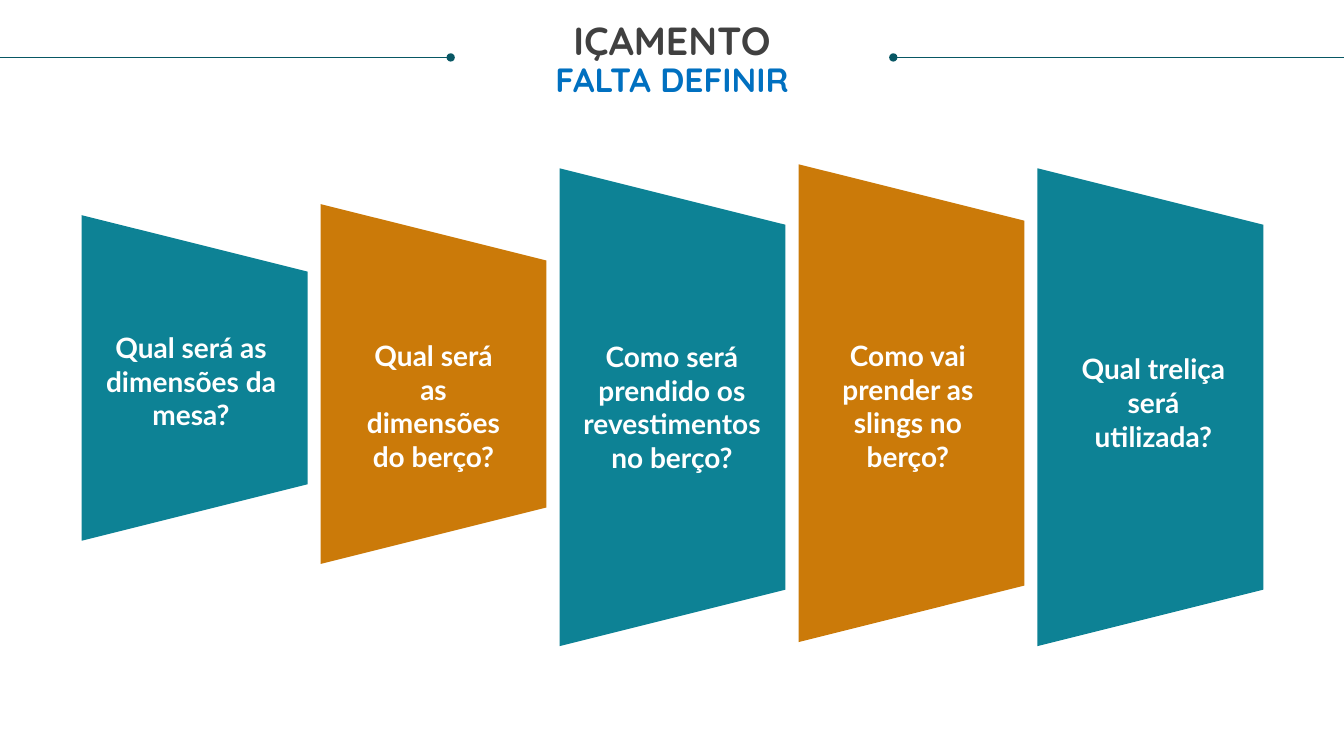
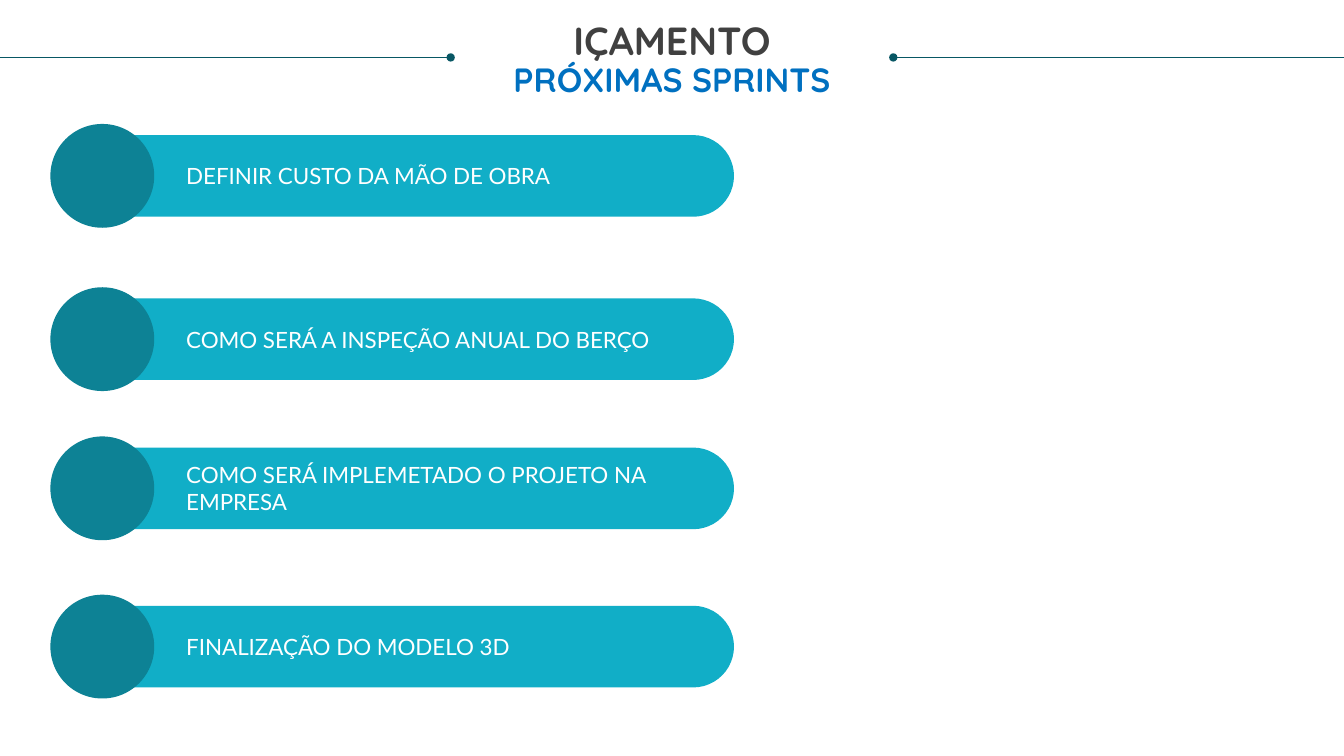
import lxml.etree
import pptx
import pptx.dml.color
import pptx.enum.shapes
import pptx.enum.text
import pptx.oxml.ns
import pptx.util

# The grid has one-inch cells
COLUMNS, ROWS = 13.33, 7.5
TITLE_FONT, BODY_FONT = "Quicksand", "Lato"
GRAY, BLUE, WHITE = "404040", "0070C0", "FFFFFF"
DARK_TEAL, TEAL, CYAN, ORANGE = "085764", "0D8295", "11AEC7", "CB7A09"

SHAPES = pptx.enum.shapes.MSO_SHAPE
ALIGN = pptx.enum.text.PP_ALIGN
ANCHOR = pptx.enum.text.MSO_ANCHOR


def color(hex_value):
    return pptx.dml.color.RGBColor.from_string(hex_value)


def cells(*counts):
    return [pptx.util.Inches(count) for count in counts]


class Deck:
    def __init__(self):
        self.presentation = pptx.Presentation()
        self.presentation.slide_width, self.presentation.slide_height = cells(COLUMNS, ROWS)
        self.slide = None

    def add_slide(self, subtitle):
        """Start a slide with the shared title and the lines beside it."""
        self.slide = self.presentation.slides.add_slide(self.presentation.slide_layouts[5])
        title = self.slide.shapes.title
        title.left, title.top, title.width, title.height = cells(0.25, 0.21, COLUMNS - 0.5, 0.79)
        frame = title.text_frame
        self.plain_frame(frame)
        frame.text = f"IÇAMENTO\n{subtitle}"
        for paragraph, size, hex_value in zip(frame.paragraphs, (28, 24), (GRAY, BLUE)):
            self.format(paragraph, TITLE_FONT, size, hex_value, bold=True, align=ALIGN.CENTER)
            paragraph.line_spacing = 0.9
            paragraph.space_before = pptx.util.Pt(0)
        line_length = 4.47
        self.dotted_line(0, line_length, "tailEnd")
        self.dotted_line(COLUMNS - line_length, COLUMNS, "headEnd")

    def plain_frame(self, frame):
        frame.margin_left = frame.margin_right = frame.margin_top = frame.margin_bottom = 0
        frame.word_wrap = True
        frame.vertical_anchor = ANCHOR.TOP
        frame.auto_size = pptx.enum.text.MSO_AUTO_SIZE.SHAPE_TO_FIT_TEXT

    def format(self, paragraph, font_name, size, hex_value, bold=False, align=ALIGN.LEFT):
        paragraph.alignment = align
        font = paragraph.font
        font.name, font.size, font.bold = font_name, pptx.util.Pt(size), bold
        font.color.rgb = color(hex_value)

    def dotted_line(self, start, end, dotted_end, row=0.57):
        connector = self.slide.shapes.add_connector(
            pptx.enum.shapes.MSO_CONNECTOR.STRAIGHT, *cells(start, row, end, row))
        connector.line.color.rgb = color(DARK_TEAL)
        connector.line.width = pptx.util.Pt(0.5)
        qn = pptx.oxml.ns.qn
        properties = connector.element.spPr
        lxml.etree.SubElement(properties.find(qn("a:ln")), qn(f"a:{dotted_end}"), type="oval")
        lxml.etree.SubElement(properties, qn("a:effectLst"))

    def shape(self, kind, left, top, width, height, hex_value):
        shape = self.slide.shapes.add_shape(kind, *cells(left, top, width, height))
        shape.shadow.inherit = False
        shape.fill.solid()
        shape.fill.fore_color.rgb = color(hex_value)
        shape.line.fill.background()
        return shape

    def panel(self, center, middle, length, hex_value, breadth=2.24):
        """A trapezoid turned so that its short side faces right."""
        panel = self.shape(SHAPES.TRAPEZOID, center - length / 2, middle - breadth / 2,
                           length, breadth, hex_value)
        panel.rotation = 90

    def label(self, text, left, top, width, height):
        box = self.slide.shapes.add_textbox(*cells(left, top, width, height))
        self.plain_frame(box.text_frame)
        paragraph = box.text_frame.paragraphs[0]
        paragraph.text = text
        self.format(paragraph, BODY_FONT, 20, WHITE, bold=True, align=ALIGN.CENTER)

    def bar(self, text, top, height=0.81, diameter=1.03):
        """A rounded bar with a circle over its left end."""
        bar = self.shape(SHAPES.ROUNDED_RECTANGLE, 0.63, top, 6.65, height, CYAN)
        bar.adjustments[0] = 0.5
        frame = bar.text_frame
        frame.word_wrap = True
        frame.vertical_anchor = ANCHOR.MIDDLE
        paragraph = frame.paragraphs[0]
        paragraph.text = text
        paragraph.level = 2
        self.format(paragraph, BODY_FONT, 16, WHITE)
        indent = paragraph._p.get_or_add_pPr()
        indent.set("marL", str(pptx.util.Inches(1)))
        indent.set("indent", "0")
        self.shape(SHAPES.OVAL, 0.5, top + (height - diameter) / 2, diameter, diameter, TEAL)


# Panel length and middle row, then label text, left, top, width and height
QUESTIONS = [
    (3.23, 3.75, "Qual será as dimensões da mesa?", 1.04, 3.28, 1.71, 1.01),
    (3.57, 3.81, "Qual será as dimensões do berço?", 3.55, 3.36, 1.5, 1.01),
    (4.74, 4.04, "Como será prendido os revestimentos no berço?", 5.78, 3.37, 1.77, 1.35),
    (4.74, 4, "Como vai prender as slings no berço?", 8.15, 3.36, 1.71, 1.35),
    (4.74, 4.04, "Qual treliça será utilizada?", 10.69, 3.49, 1.5, 1.01),
]

# Bar text and top row
SPRINTS = [
    ("DEFINIR CUSTO DA MÃO DE OBRA", 1.34),
    ("COMO SERÁ A INSPEÇÃO ANUAL DO BERÇO", 2.96),
    ("COMO SERÁ IMPLEMETADO O PROJETO NA EMPRESA", 4.44),
    ("FINALIZAÇÃO DO MODELO 3D", 6.01),
]


def main():
    deck = Deck()

    # Open questions
    deck.add_slide("FALTA DEFINIR")
    for index, (length, middle, *label) in enumerate(QUESTIONS):
        deck.panel(1.93 + 2.37 * index, middle, length, (TEAL, ORANGE)[index % 2])
        deck.label(*label)

    # Next sprints
    deck.add_slide("PRÓXIMAS SPRINTS")
    for text, top in SPRINTS:
        deck.bar(text, top)

    deck.presentation.save("out.pptx")


if __name__ == "__main__":
    main()
